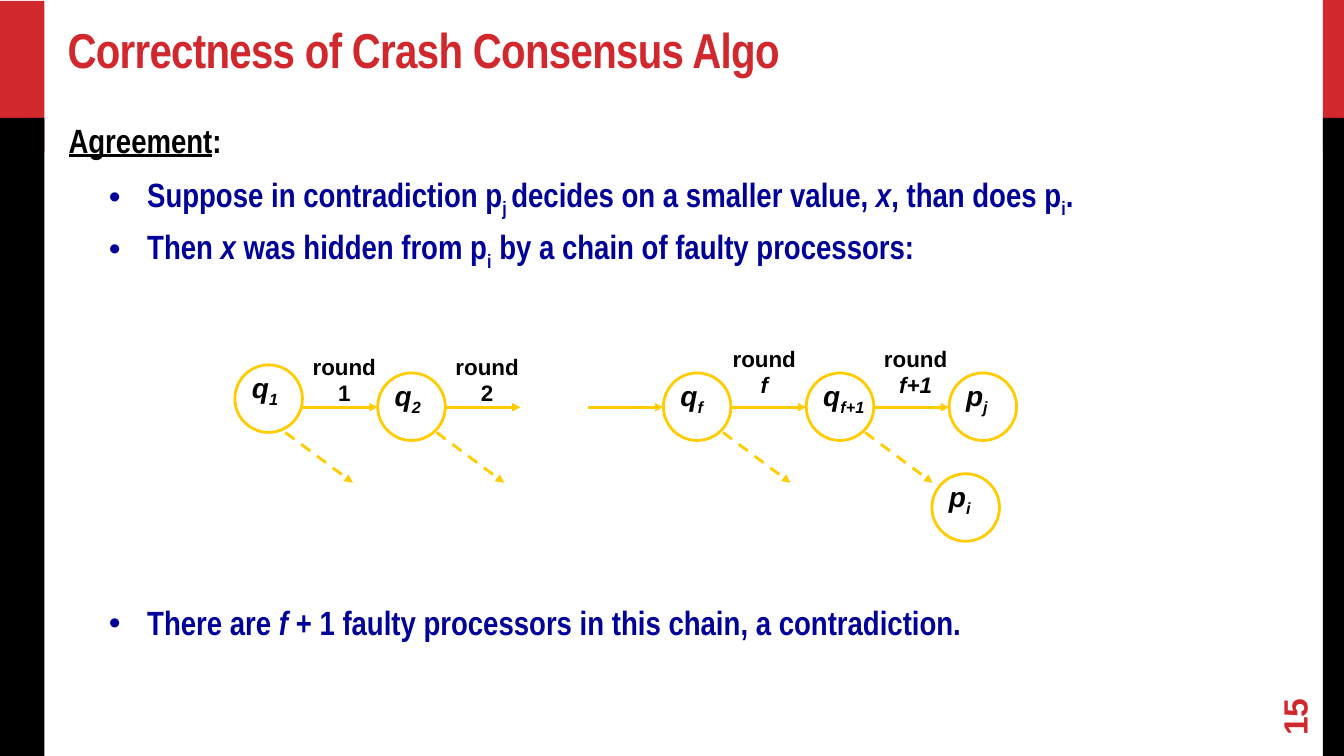
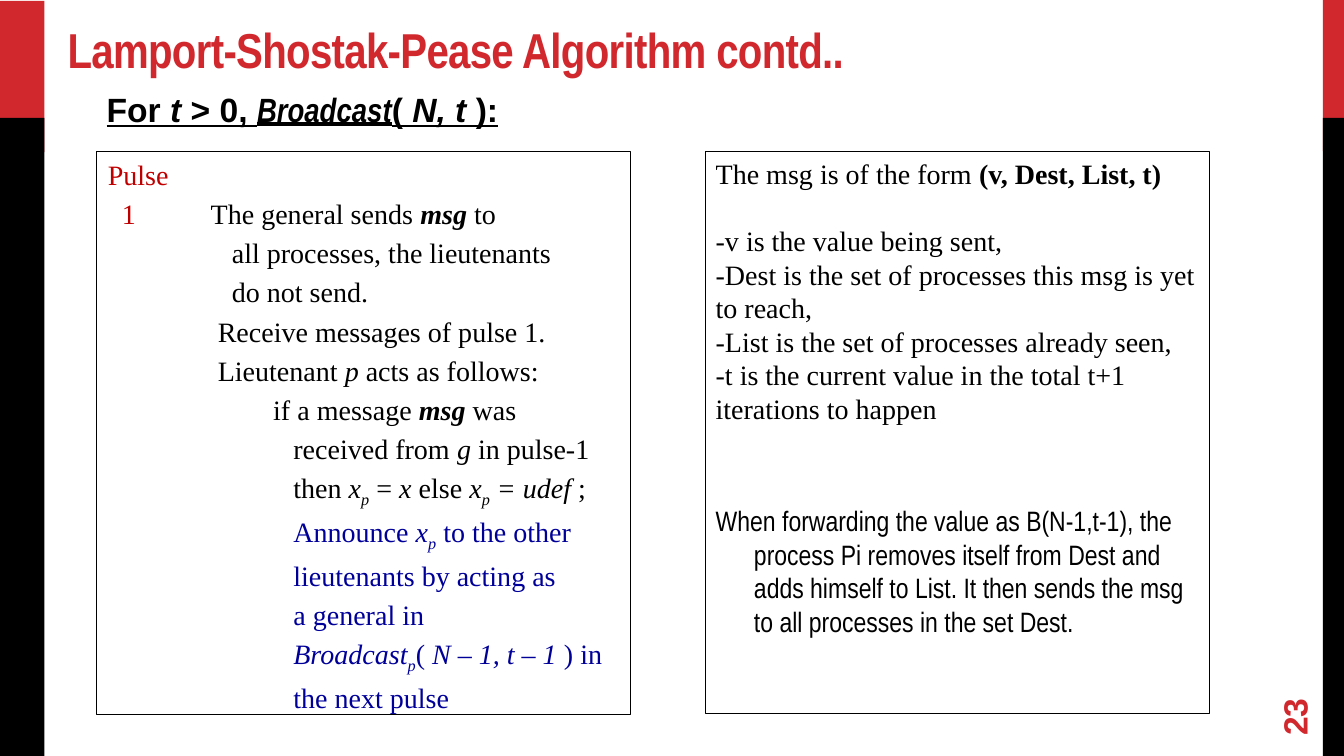
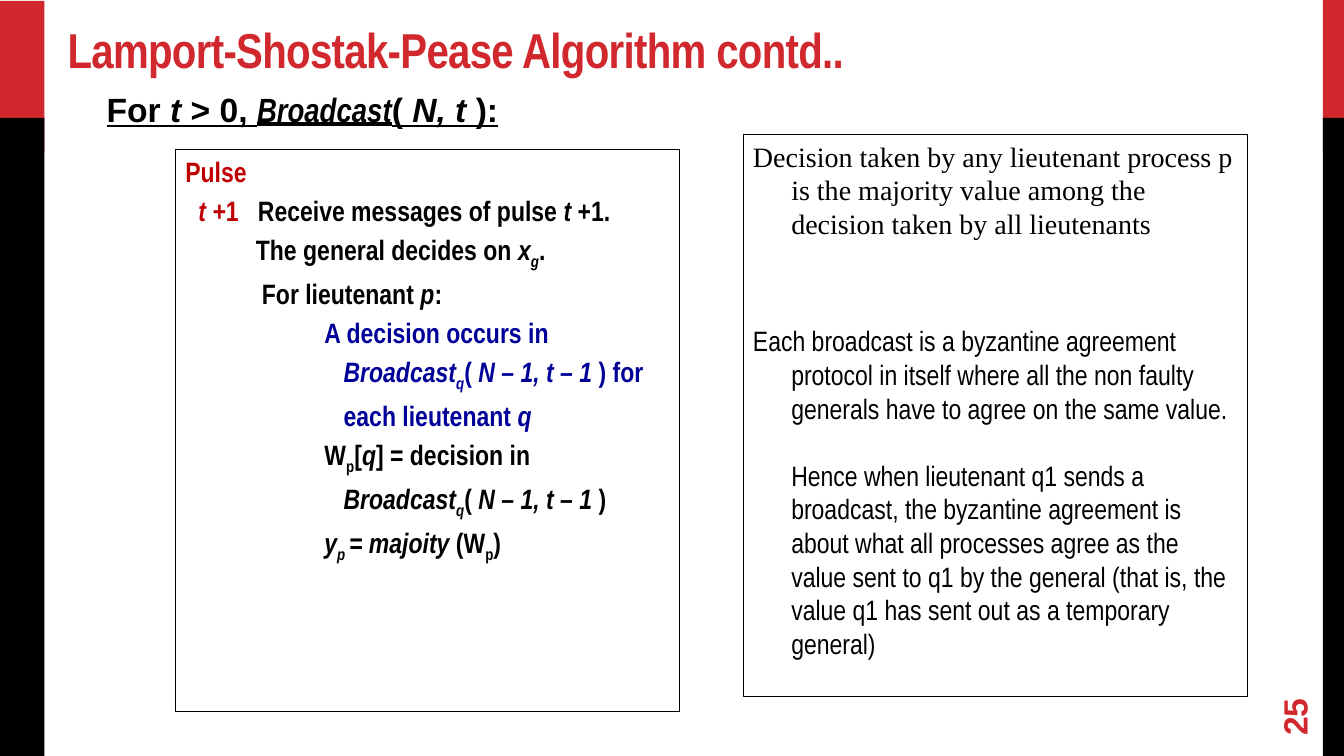
from collections import namedtuple

from lxml import etree
from pptx import Presentation
from pptx.dml.color import RGBColor
from pptx.enum.dml import MSO_LINE
from pptx.enum.shapes import MSO_CONNECTOR, MSO_SHAPE
from pptx.enum.text import MSO_ANCHOR, MSO_AUTO_SIZE, PP_ALIGN
from pptx.oxml.ns import qn
from pptx.util import Inches, Pt

RECTANGLE, OVAL = MSO_SHAPE.RECTANGLE, MSO_SHAPE.OVAL
STRAIGHT, DASH = MSO_CONNECTOR.STRAIGHT, MSO_LINE.DASH
TOP, MIDDLE, BOTTOM = MSO_ANCHOR.TOP, MSO_ANCHOR.MIDDLE, MSO_ANCHOR.BOTTOM
LEFT, CENTER = PP_ALIGN.LEFT, PP_ALIGN.CENTER
NO_FIT, GROW = MSO_AUTO_SIZE.NONE, MSO_AUTO_SIZE.SHAPE_TO_FIT_TEXT

RED = RGBColor(0xD1, 0x28, 0x2E)
DARK_RED = RGBColor(0xC0, 0x00, 0x00)
BLACK = RGBColor(0x00, 0x00, 0x00)
NAVY = RGBColor(0x00, 0x00, 0x99)
GOLD = RGBColor(0xFF, 0xCC, 0x00)
SANS, NARROW, SERIF = "Arial", "Arial Narrow", "Times New Roman"

WIDTH, HEIGHT = 13.33, 7.5
BAND_TOP = 1.17
BANDS = [
    (13.12, 0, 0.21, 1.5, RED), (13.12, BAND_TOP, 0.21, 6.33, BLACK),
    (0, 0.01, 0.44, 1.5, RED), (0, BAND_TOP, 0.44, 6.35, BLACK),
]
TITLE_AT = (0.56, 0.17, 12.44, 0.67)
NUMBER_AT = (12.45, 6.86, 0.77, 0.33)
HEADING_AT = (0.96, 0.83, 4.12, 0.5)
WIDE_INSETS, INSETS = (0.11, 0.06), (0.1, 0.05)

# Text styles
TITLE = dict(name=NARROW, size=35, bold=True, color=RED)
NUMBER = dict(name=SANS, size=24, bold=True, color=RED)
HEADING = dict(name=SANS, size=24, bold=True, underline=True, color=BLACK)
BODY = dict(name=NARROW, size=24, bold=True, color=BLACK)
SERIF_TEXT = dict(name=SERIF, size=20, color=BLACK)
NARROW_BOLD = dict(name=NARROW, size=20, bold=True, color=BLACK)
NODE_TEXT = dict(name=SANS, size=20, bold=True, italic=True, color=BLACK)
ROUND_TEXT = dict(name=SANS, size=16, bold=True, color=BLACK)

# Marks that switch a format on and off inside a text
MARKS = {"*": ("italic", True), "^": ("bold", True), "_": ("underline", True),
         "~": ("lowered", True), "#": ("color", DARK_RED), "%": ("name", NARROW)}

# left and first are the indents of the text and of its first line, in inches;
# before and after are in points
Line = namedtuple("Line", "text left first before after style bullet",
                  defaults=(0, None, 0, 0, {}, False))

# Content
BLUE = dict(color=NAVY)
BULLET = dict(left=0.78, first=0.4, style=BLUE, bullet=True)
AGREEMENT = [
    Line("_Agreement_:", before=4.8, after=4.9),
    Line("Suppose in contradiction p~j ~decides on a smaller value, *x*, than does p~i~.",
         before=4.8, **BULLET),
    Line("Then *x* was hidden from p~i~ by a chain of faulty processors:",
         before=4.8, **BULLET),
    Line("There are *f *+ 1 faulty processors in this chain, a contradiction.",
         before=235.8, **BULLET),
]

HEADING_TEXT = "For *t* > 0, %*Broadcast*%( *N, t* ):"

GAP = 4
FIRST_PULSE = [Line(text, left, first, GAP, style=style) for text, left, first, style in [
    ("#Pulse#", 0, 0, {}),
    ("#1#\tThe general sends ^*msg*^ to", 1.02, 0.14, {}),
    ("all processes, the lieutenants", 1.23, None, {}),
    ("do not send.", 1.23, None, {}),
    ("Receive messages of pulse 1.", 1.09, None, {}),
    ("Lieutenant *p* acts as follows:", 1.09, None, {}),
    ("if a message ^*msg *^was", 1.64, None, {}),
    ("received from *g* in pulse-1", 1.84, None, {}),
    ("then *x~p~* = *x* else *x~p~ = udef *;", 1.84, None, {}),
    ("Announce *x~p~* to the other", 1.84, None, BLUE),
    ("lieutenants by acting as", 1.84, None, BLUE),
    ("a general in", 1.84, None, BLUE),
    ("*Broadcast~p~*( *N – 1, t – 1 *) in", 1.84, None, BLUE),
    ("the next pulse", 1.84, None, BLUE),
]]

LAST_PULSE = [Line(text, left, first, GAP, style=style) for text, left, first, style in [
    ("#Pulse#", 0, 0, {}),
    ("#*t +*1#\tReceive messages of pulse *t *+1.", 0.72, 0.13, {}),
    ("The general decides on *x~g~*.", 0.7, None, {}),
    ("For lieutenant *p*:", 0.76, None, {}),
    ("A decision occurs in", 1.38, None, BLUE),
    ("*Broadcast~q~*( *N – 1, t – 1 *) for", 1.57, None, BLUE),
    ("each lieutenant *q*", 1.57, None, BLUE),
    ("W~p~[*q*] = decision in", 1.38, None, {}),
    ("*Broadcast~q~*( *N – 1, t – 1 *)", 1.57, None, {}),
    ("*y~p ~= majoity *(W~p~)", 1.38, None, {}),
]]

IN_NARROW = dict(name=NARROW)
MESSAGE_FORM = [
    Line("The msg is of the form^ (v, Dest, List, t)^"),
    Line("-v is the value being sent,\n"
         "-Dest is the set of processes this msg is yet to reach,\n"
         "-List is the set of processes already seen,\n"
         "-t is the current value in the total t+1 iterations to happen", before=24),
    Line("When forwarding the value as B(N-1,t-1), the process Pi removes itself from "
         "Dest and adds himself to List. It then sends the msg to all processes in "
         "the set Dest.", 0.38, 0, 56, style=IN_NARROW),
]
DECISION = [
    Line("Decision taken by any lieutenant process p is the majority value among the "
         "decision taken by all lieutenants", 0.38, 0, GAP),
    Line("Each broadcast is a byzantine agreement protocol in itself where all the non "
         "faulty generals have to agree on the same value.", 0.38, 0, 60,
         style=IN_NARROW),
    Line("Hence when lieutenant q1 sends a broadcast, the byzantine agreement is about "
         "what all processes agree as the value sent to q1 by the general (that is, the "
         "value q1 has sent out as a temporary general)", 0.38, None, 24,
         style=IN_NARROW),
]

# Chain: columns are counted from the first node
CHAIN_LEFT, CHAIN_STEP, NODE = 2.33, 17 / 12, 0.67
ARROW_Y, ARROW_COUNT = 4.04, 5
NODES = [  # text, column, top, label width
    ("q~1~", 0, 3.62, 0.48), ("q~2~", 1, 3.7, 0.48), ("q~f~", 3, 3.7, 0.44),
    ("q~f+1~", 4, 3.7, 0.65), ("p~j~", 5, 3.7, 0.43), ("p~i~", 4.88, 4.7, 0.43),
]
ROUNDS = [("1", 0, 3.45), ("2", 1, 3.45), ("*f*", 2.94, 3.37), ("*f+1*", 4, 3.37)]
LOST_STARTS = [2.83, 4.33, 7.17, 8.58]
LOST_Y, LOST_WIDTH, LOST_HEIGHT = 4.29, 0.67, 0.5


def inches(values):
    return [Inches(value) for value in values]


def add_span(para, text, style):
    span = para.add_run()
    span.text = text
    for key, value in style.items():
        if key == "color":
            span.font.color.rgb = value
        elif key == "lowered":
            span._r.get_or_add_rPr().set("baseline", "-25000")
        else:
            setattr(span.font, key, Pt(value) if key == "size" else value)
    return span


def add_marked_text(para, text, style):
    active, piece = {}, ""
    for char in text:
        if char not in MARKS and char != "\n":
            piece += char
            continue
        if piece:
            add_span(para, piece, {**style, **active})
            piece = ""
        if char == "\n":
            para.add_line_break()
            continue
        key, value = MARKS[char]
        if key in active:
            del active[key]
        else:
            active[key] = value
    if piece:
        add_span(para, piece, {**style, **active})


def add_bullet(para, color):
    properties = para._p.get_or_add_pPr()
    tint = etree.SubElement(properties, qn("a:buClr"))
    etree.SubElement(tint, qn("a:srgbClr")).set("val", str(color))
    etree.SubElement(properties, qn("a:buFont")).set("typeface", SANS)
    etree.SubElement(properties, qn("a:buChar")).set("char", "•")


def write(shape, lines, style, insets=INSETS, anchor=TOP, align=LEFT, wrap=True,
          fit=NO_FIT):
    frame = shape.text_frame
    across, down = inches(insets)
    settings = dict(margin_left=across, margin_right=across, margin_top=down,
                    margin_bottom=down, vertical_anchor=anchor, word_wrap=wrap,
                    auto_size=fit)
    for key, value in settings.items():
        setattr(frame, key, value)
    for index, line in enumerate(lines):
        para = frame.add_paragraph() if index else frame.paragraphs[0]
        para.alignment = align
        para.space_before, para.space_after = Pt(line.before), Pt(line.after)
        first = line.left if line.first is None else line.first
        properties = para._p.get_or_add_pPr()
        properties.set("marL", str(Inches(line.left)))
        properties.set("indent", str(Inches(first - line.left)))
        look = {**style, **line.style}
        if line.bullet:
            add_bullet(para, look["color"])
        add_marked_text(para, line.text, look)


def add_text(page, place, lines, style, **settings):
    box = page.shapes.add_textbox(*inches(place))
    write(box, lines, style, **settings)
    return box


def add_outline(page, kind, place, color, weight):
    shape = page.shapes.add_shape(kind, *inches(place))
    shape.shadow.inherit = False
    shape.fill.background()
    shape.line.color.rgb = color
    shape.line.width = Pt(weight)
    return shape


def add_panel(page, place, lines, style, insets=INSETS):
    panel = add_outline(page, RECTANGLE, place, BLACK, 0.75)
    write(panel, lines, style, insets=insets)


def add_arrow(page, left, top, width, height=0, dash=None):
    arrow = page.shapes.add_connector(
        STRAIGHT, *inches((left, top, left + width, top + height)))
    arrow.line.color.rgb = GOLD
    arrow.line.width = Pt(2)
    if dash:
        arrow.line.dash_style = dash
    properties = arrow.element.spPr
    etree.SubElement(properties.find(qn("a:ln")), qn("a:tailEnd")).set("type", "triangle")
    etree.SubElement(properties, qn("a:effectLst"))


def add_page(deck, title, number):
    page = deck.slides.add_slide(deck.slide_layouts[5])
    for *place, color in BANDS:
        band = page.shapes.add_shape(RECTANGLE, *inches(place))
        band.shadow.inherit = False
        band.fill.solid()
        band.fill.fore_color.rgb = color
        band.line.fill.background()
    heading = page.shapes.title
    heading.left, heading.top, heading.width, heading.height = inches(TITLE_AT)
    write(heading, [Line(title)], TITLE, insets=WIDE_INSETS, anchor=BOTTOM)
    for span in heading.text_frame.paragraphs[0].runs:
        span._r.get_or_add_rPr().set("spc", "-50")
    page_number = add_text(page, NUMBER_AT, [Line(number)], NUMBER,
                           insets=WIDE_INSETS, anchor=MIDDLE)
    page_number.rotation = 270
    return page


def add_algorithm_page(deck, number):
    page = add_page(deck, "Lamport-Shostak-Pease Algorithm contd..", number)
    add_text(page, HEADING_AT, [Line(HEADING_TEXT)], HEADING, wrap=False, fit=GROW)
    return page


deck = Presentation()
deck.slide_width, deck.slide_height = Inches(WIDTH), Inches(HEIGHT)

# Agreement proof with the chain of processors
page = add_page(deck, "Correctness of Crash Consensus Algo", "15")
add_text(page, (0.57, 1.13, 12.22, 5.53), AGREEMENT, BODY, insets=WIDE_INSETS)
for text, column, top, label_width in NODES:
    left = CHAIN_LEFT + column * CHAIN_STEP
    add_outline(page, OVAL, (left, top, NODE, NODE), GOLD, 2)
    add_text(page, (left + 0.07, top + 0.01, label_width, 0.44), [Line(text)],
             NODE_TEXT, wrap=False, fit=GROW)
for column in range(ARROW_COUNT):
    add_arrow(page, CHAIN_LEFT + NODE + column * CHAIN_STEP, ARROW_Y, CHAIN_STEP - NODE)
for left in LOST_STARTS:
    add_arrow(page, left, LOST_Y, LOST_WIDTH, LOST_HEIGHT, DASH)
for text, column, top in ROUNDS:
    left = CHAIN_LEFT + NODE + column * CHAIN_STEP
    add_text(page, (left, top, 0.83, 0.64), [Line("round"), Line(text)], ROUND_TEXT,
             align=CENTER, wrap=False, fit=GROW)

# First pulse and the message form
page = add_algorithm_page(deck, "23")
add_panel(page, (0.96, 1.5, 5.29, 5.59), FIRST_PULSE, SERIF_TEXT, WIDE_INSETS)
add_panel(page, (7, 1.5, 5, 5.58), MESSAGE_FORM, SERIF_TEXT)

# Last pulse and the decision
page = add_algorithm_page(deck, "25")
add_panel(page, (1.74, 1.48, 5, 5.58), LAST_PULSE, NARROW_BOLD)
add_panel(page, (7.37, 1.33, 5, 5.58), DECISION, SERIF_TEXT)

deck.save("out.pptx")
